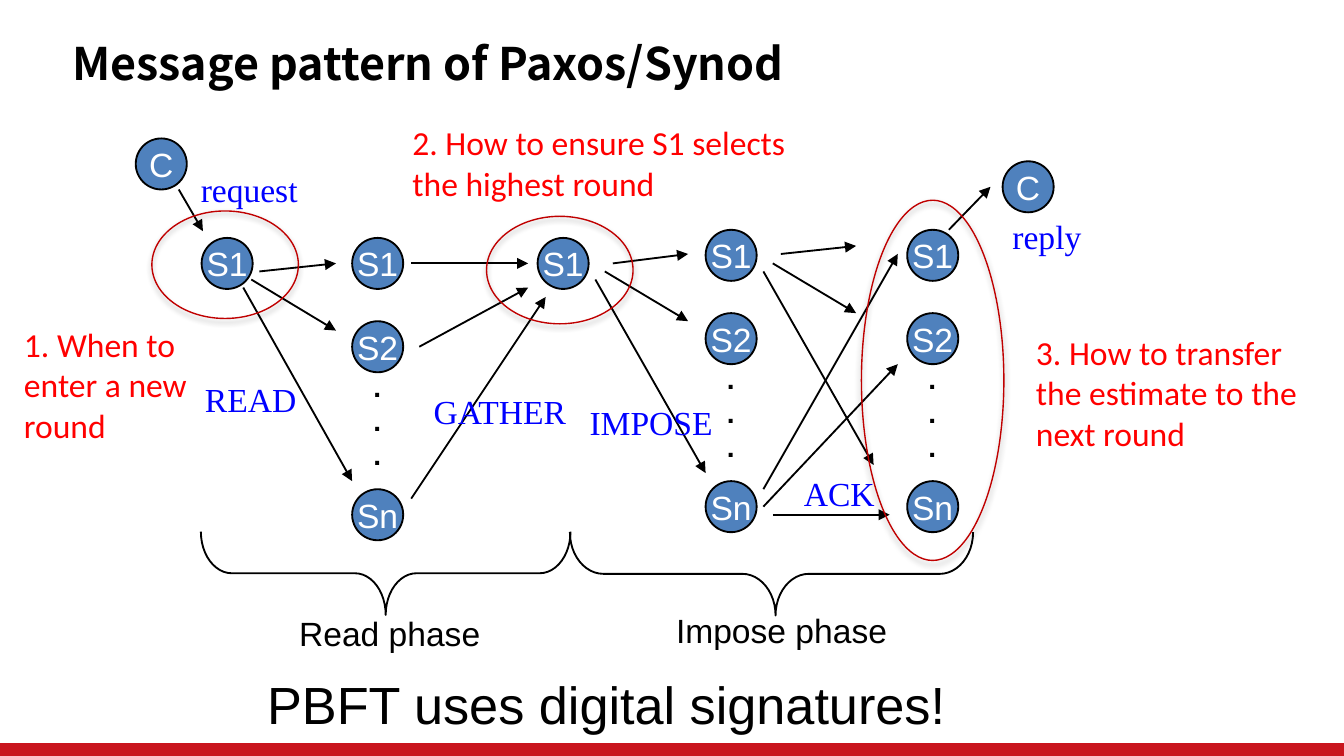
from lxml import etree
from pptx import Presentation
from pptx.dml.color import RGBColor
from pptx.enum.shapes import MSO_CONNECTOR, MSO_SHAPE
from pptx.enum.text import MSO_ANCHOR, PP_ALIGN
from pptx.oxml import parse_xml
from pptx.oxml.ns import nsdecls, qn
from pptx.util import Inches, Pt

BLACK = RGBColor(0x00, 0x00, 0x00)
WHITE = RGBColor(0xFF, 0xFF, 0xFF)
BLUE = RGBColor(0x00, 0x00, 0xFF)
RED = RGBColor(0xFF, 0x00, 0x00)
RING = RGBColor(0xC0, 0x00, 0x00)
NODE = RGBColor(0x4F, 0x81, 0xBD)
BAR = RGBColor(0xC9, 0x15, 0x1E)

# Widescreen page, 16:9
prs = Presentation()
prs.slide_width = Inches(10)
prs.slide_height = Inches(10) * 9 // 16
slide = prs.slides.add_slide(prs.slide_layouts[6])
shapes = slide.shapes


def add_text(words, box, size, font, color, align=PP_ALIGN.LEFT, wrap=True):
    label = shapes.add_textbox(*map(Inches, box))
    frame = label.text_frame
    frame.word_wrap = wrap
    frame.text = words
    for para in frame.paragraphs:
        para.alignment = align
        for run in para.runs:
            run.font.size, run.font.name = Pt(size), font
            run.font.color.rgb = color
    return frame


def add_form(kind, box, line, width, fill=None):
    form = shapes.add_shape(kind, *map(Inches, box))
    form.shadow.inherit = False
    if fill is None:
        form.fill.background()
    else:
        form.fill.solid()
        form.fill.fore_color.rgb = fill
    form.line.color.rgb = line
    form.line.width = Pt(width)
    return form


# Footer bar and title
bar = add_form(MSO_SHAPE.RECTANGLE, (0, 5.53, 10, 0.1), BAR, 1, BAR)
bar.line.fill.background()
title = add_text("Message pattern of Paxos/Synod", (0.44, 0.22, 6.96, 0.49),
                 24, "Noto Sans CJK SC", BLACK, wrap=False)
title.vertical_anchor = MSO_ANCHOR.MIDDLE
title.paragraphs[0].runs[0].font.bold = True

# Clients, leaders and the three server columns
nodes = [("C", 1.01, 1.03), ("C", 7.46, 1.2), ("S1", 1.5, 1.77), ("S1", 4, 1.77)]
for left, top in [(2.62, 1.77), (5.25, 1.71), (6.75, 1.71)]:
    nodes += [("S1", left, top), ("S2", left, top + 0.62), ("Sn", left, top + 1.87)]
    dots = add_text(".\n.\n.", (left + 0.06, top + 0.93, 0.25, 0.86),
                    15, "Arial", BLACK, PP_ALIGN.CENTER)
    for para in dots.paragraphs:
        para.runs[0].font.bold = True
        para.line_spacing = Pt(18.2)

for name, left, top in nodes:
    node = add_form(MSO_SHAPE.OVAL, (left, top, 0.38, 0.38), BLACK, 1, NODE)
    frame = node.text_frame
    frame.margin_left = frame.margin_right = 0
    frame.margin_top = frame.margin_bottom = 0
    frame.word_wrap = False
    frame.vertical_anchor = MSO_ANCHOR.MIDDLE
    frame.text = name
    para = frame.paragraphs[0]
    para.alignment = PP_ALIGN.CENTER
    font = para.runs[0].font
    font.size, font.name = Pt(18), "Arial"
    font.color.rgb = WHITE

# Message arrows, from sender to receiver
arrows = [
    # request and reply
    (1.33, 1.41, 1.51, 1.72), (7.06, 1.71, 7.37, 1.39),
    # read
    (1.93, 2.02, 2.5, 1.96), (1.87, 2.08, 2.5, 2.46), (1.81, 2.14, 2.62, 3.58),
    # gather
    (3.06, 1.96, 3.93, 1.96), (3.12, 2.58, 3.93, 2.14), (3.06, 3.71, 4.06, 2.21),
    # impose
    (4.56, 1.96, 5.12, 1.89), (4.5, 2.02, 5.12, 2.39), (4.43, 2.08, 5.25, 3.52),
    # acknowledge, from S1 and then from Sn
    (5.81, 1.89, 6.37, 1.83), (5.75, 1.96, 6.37, 2.33), (5.68, 2.02, 6.5, 3.46),
    (5.68, 3.64, 6.68, 1.89), (5.68, 3.77, 6.68, 2.71), (5.75, 3.83, 6.62, 3.83),
]
for ends in arrows:
    arrow = shapes.add_connector(MSO_CONNECTOR.STRAIGHT, *map(Inches, ends))
    arrow.line.color.rgb = BLACK
    arrow.line.width = Pt(1)
    etree.SubElement(arrow.line._get_or_add_ln(), qn("a:tailEnd"), type="triangle")
    etree.SubElement(arrow._element.spPr, qn("a:effectLst"))

# Phase braces, turned to point down
for kind, box, turn, curve, mid in [
    (MSO_SHAPE.LEFT_BRACE, (2.56, 2.89, 0.62, 2.75), 270, 0.37, 0.5),
    (MSO_SHAPE.RIGHT_BRACE, (5.43, 2.77, 0.62, 3), 90, 0.4, 0.49),
]:
    brace = add_form(kind, box, BLACK, 1)
    brace.rotation = turn
    brace.adjustments[0], brace.adjustments[1] = curve, mid

# Phase names and message names
for words, left, top, width, font, color in [
    ("Read phase", 2.12, 4.51, 1.56, "Arial", BLACK),
    ("Impose phase", 4.92, 4.49, 1.79, "Arial", BLACK),
    ("request", 1.39, 1.21, 0.93, "Times New Roman", BLUE),
    ("reply", 7.43, 1.56, 0.72, "Times New Roman", BLUE),
    ("READ", 1.42, 2.77, 0.89, "Times New Roman", BLUE),
    ("GATHER", 3.12, 2.86, 1.2, "Times New Roman", BLUE),
    ("IMPOSE", 4.28, 2.94, 1.13, "Times New Roman", BLUE),
    ("ACK", 5.88, 3.47, 0.73, "Times New Roman", BLUE),
]:
    add_text(words, (left, top, width, 0.4), 18, font, color, PP_ALIGN.CENTER, False)

# Red rings with a soft shadow
for box in [(1.13, 1.57, 1.09, 0.8), (3.62, 1.61, 1.09, 0.8), (6.41, 1.49, 1.06, 2.68)]:
    ring = add_form(MSO_SHAPE.OVAL, box, RING, 0.75)
    effects = ring._element.spPr.find(qn("a:effectLst"))
    effects.append(parse_xml(
        f'<a:outerShdw {nsdecls("a")} blurRad="{Pt(3.1)}" dist="{Pt(1.8)}" '
        'dir="5400000" rotWithShape="0"><a:srgbClr val="000000">'
        '<a:alpha val="35000"/></a:srgbClr></a:outerShdw>'))

# Questions and closing remark
for words, box in [
    ("1. When to enter a new round", (0.08, 2.36, 1.68, 1.01)),
    ("2. How to ensure S1 selects the highest round", (2.97, 0.86, 3.09, 0.71)),
    ("3. How to transfer the estimate to the next round", (7.61, 2.42, 2.29, 1.01)),
]:
    add_text(words, box, 18, "Calibri", RED)
add_text("PBFT uses digital signatures!", (1.89, 4.95, 5.34, 0.57), 28, "Arial", BLACK)

prs.save("out.pptx")
